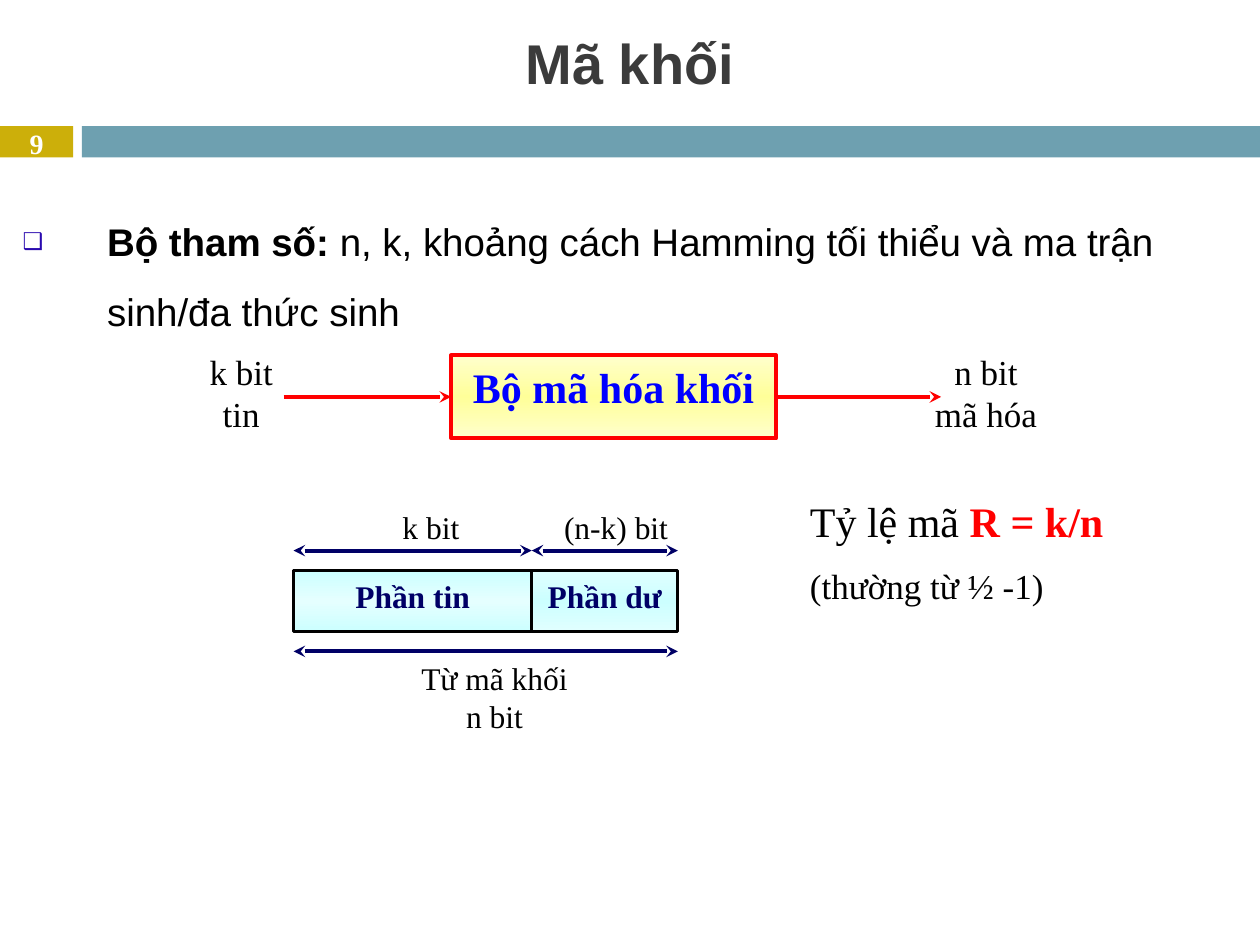
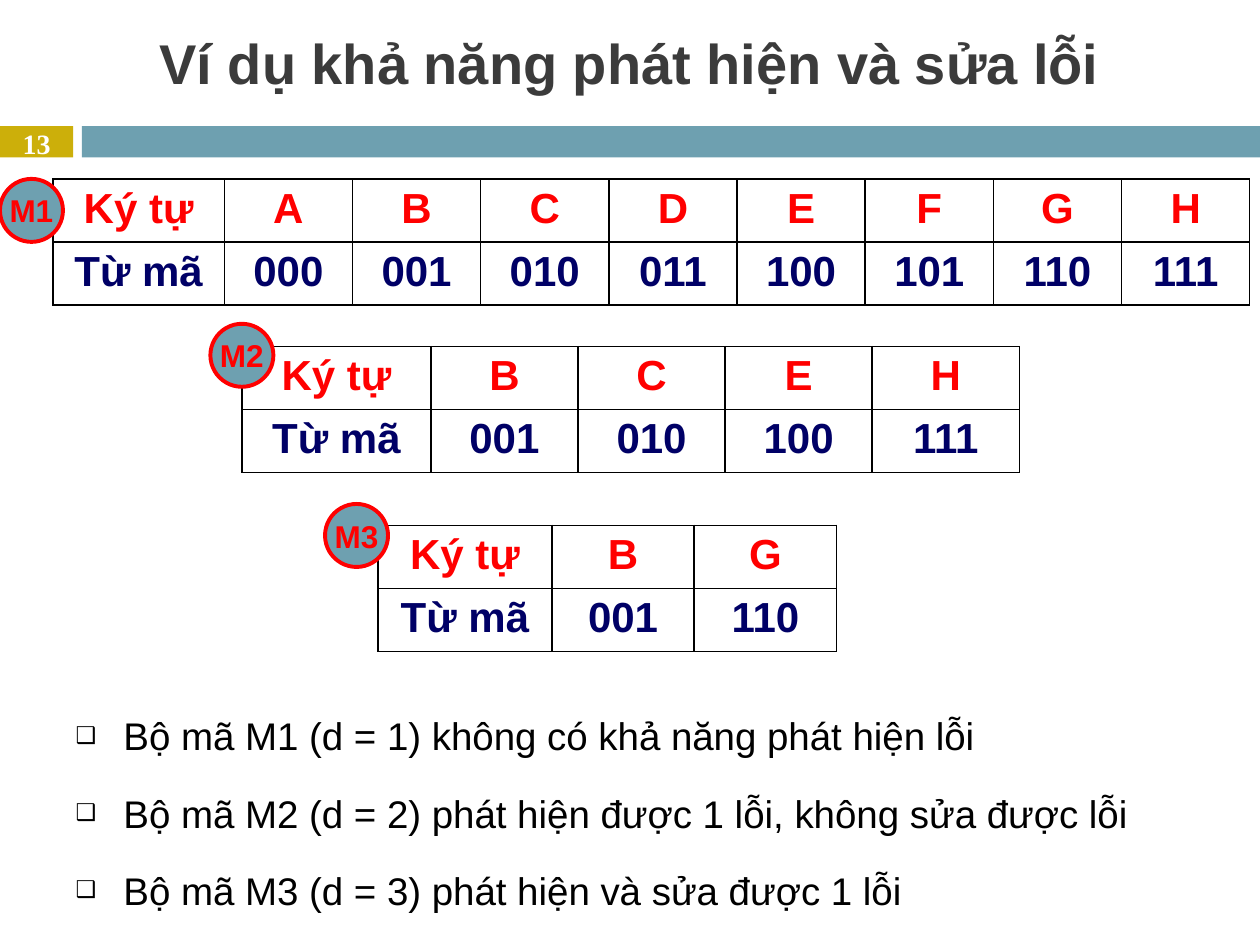
from copy import deepcopy
from dataclasses import dataclass

from lxml.etree import SubElement
from pptx import Presentation
from pptx.dml.color import RGBColor
from pptx.enum.shapes import MSO_CONNECTOR, MSO_SHAPE
from pptx.enum.text import MSO_ANCHOR, MSO_AUTO_SIZE, PP_ALIGN
from pptx.oxml.ns import qn
from pptx.util import Inches, Pt


@dataclass(frozen=True)
class Theme:
    sans: str = "Arial"
    serif: str = "Times New Roman"
    gold: str = "CCAF0A"
    teal: str = "6EA0B0"
    gray: str = "3B3B3B"
    white: str = "FFFFFF"
    black: str = "000000"
    red: str = "FF0000"
    blue: str = "0000FF"
    navy: str = "000066"
    violet: str = "2909AF"
    yellow: tuple = ("FFFFCD", "FFFF99", "FFFFCD")
    aqua: tuple = ("CCFFFF", "E5FFFF", "CCFFFF")
    cyan: tuple = ("E0FFFF", "CCFFFF", "E0FFFF")
    title: int = 32
    head: int = 24
    body: int = 22
    label: int = 20
    small: int = 18
    page: int = 16
    thick: float = 2.25
    edge: float = 1.5
    grid: float = 1


T = Theme()

# Slide 1: text runs are (text, bold); boxes are left, top, width, height
PARAMS = [[("Bộ tham số:", True),
           (" n, k, khoảng cách Hamming tối thiểu và ma trận sinh/đa thức sinh", False)]]
CODER = ("Bộ mã hóa khối", (3.58, 2.82, 2.58, 0.66))
FLOW = (2.25, 7.47)
LABELS = [
    (["k bit tin"], (1.5, 2.73, 0.83, 0.97), T.label),
    (["n bit", "mã hóa"], (7.32, 2.73, 1.01, 0.81), T.label),
    (["Từ mã khối n bit"], (3.2, 5.18, 1.45, 0.49), T.small),
    (["(n-k) bit"], (4.36, 3.98, 1.06, 0.49), T.small),
    (["k bit"], (3.06, 3.98, 0.72, 0.49), T.small),
]
PARTS = [("Phần tin", 2.33, 4.22, T.aqua), ("Phần dư", 4.22, 5.38, T.cyan)]
RATE = ("Tỷ lệ mã ", "R = k/n", "(thường từ ½ -1)")

# Slide 2: each code has a badge place, table place, first column, row height, words
HEADS = ("Ký tự", "Từ mã")
CODES = [
    ("M1", (0, 1.42), (0.42, 1.42, 9.5), 1.36, 0.47,
     dict(A="000", B="001", C="010", D="011", E="100", F="101", G="110", H="111")),
    ("M2", (1.67, 2.57), (1.92, 2.75, 6.17), 1.5, 0.5,
     dict(B="001", C="010", E="100", H="111")),
    ("M3", (2.58, 4), (3, 4.17, 3.64), 1.38, 0.5, dict(B="001", G="110")),
]
POWERS = [[(text, False)] for text in (
    "Bộ mã M1 (d = 1) không có khả năng phát hiện lỗi",
    "Bộ mã M2 (d = 2) phát hiện được 1 lỗi, không sửa được lỗi",
    "Bộ mã M3 (d = 3) phát hiện và sửa được 1 lỗi",
)]


def rgb(code):
    return RGBColor.from_string(code)


def inch(box):
    return [Inches(v) for v in box]


def style(font, size, color, name=T.serif, bold=False):
    font.size, font.name, font.bold = Pt(size), name, bold
    font.color.rgb = rgb(color)


def write(frame, lines, size, color, name=T.serif, bold=False):
    """Fill a frame with centred paragraphs in one style."""
    for i, text in enumerate(lines):
        para = frame.add_paragraph() if i else frame.paragraphs[0]
        para.text = text
        para.alignment = PP_ALIGN.CENTER
        style(para.font, size, color, name, bold)


def add_text(slide, box):
    frame = slide.shapes.add_textbox(*inch(box)).text_frame
    frame.word_wrap = True
    return frame


def add_form(slide, kind, box, fill, line=None, width=T.thick):
    """Draw a shape with a plain fill, or a gradient if fill is three colours."""
    form = slide.shapes.add_shape(kind, *inch(box))
    form.shadow.inherit = False
    if isinstance(fill, str):
        form.fill.solid()
        form.fill.fore_color.rgb = rgb(fill)
    else:
        form.fill.gradient()
        form.fill.gradient_angle = 90
        stops = form.element.xpath(".//a:gsLst")[0]
        stops.insert(1, deepcopy(stops[0]))
        for i, stop in enumerate(form.fill.gradient_stops):
            stop.position = i / 2
            stop.color.rgb = rgb(fill[i])
    if line:
        form.line.color.rgb = rgb(line)
        form.line.width = Pt(width)
    else:
        form.line.fill.background()
    form.text_frame.vertical_anchor = MSO_ANCHOR.TOP
    return form


def add_arrow(slide, left, right, y, color, ends=("tailEnd",)):
    arrow = slide.shapes.add_connector(
        MSO_CONNECTOR.STRAIGHT, *inch((left, y, right, y)))
    arrow.line.color.rgb = rgb(color)
    arrow.line.width = Pt(T.thick)
    props = arrow.element.spPr
    for end in ends:
        SubElement(props.find(qn("a:ln")), qn("a:" + end), type="stealth")
    SubElement(props, qn("a:effectLst"))
    return arrow


def add_list(slide, items, box, indent, gap, color=None):
    """Place the body placeholder and fill it with box-bulleted items."""
    body = slide.placeholders[1]
    body.left, body.top, body.width, body.height = inch(box)
    frame = body.text_frame
    frame.auto_size = MSO_AUTO_SIZE.NONE
    for i, runs in enumerate(items):
        para = frame.add_paragraph() if i else frame.paragraphs[0]
        props = para._p.get_or_add_pPr()
        props.set("marL", str(Inches(indent)))
        props.set("indent", str(-Inches(indent)))
        if color:
            SubElement(SubElement(props, qn("a:buClr")), qn("a:srgbClr"), val=color)
        SubElement(props, qn("a:buSzPct"), val="60000")
        SubElement(props, qn("a:buChar"), char="❑")
        para.line_spacing = 1.5
        para.space_before = Pt(gap if i else 0)
        style(para.font, T.body, T.black, T.sans)
        for text, bold in runs:
            run = para.add_run()
            run.text = text
            run.font.bold = bold


def add_slide(deck, title, page):
    slide = deck.slides.add_slide(deck.slide_layouts[1])
    add_form(slide, MSO_SHAPE.RECTANGLE, (0, 1, 0.58, 0.25), T.gold)
    add_form(slide, MSO_SHAPE.RECTANGLE, (0.65, 1, 9.35, 0.25), T.teal)
    frame = add_text(slide, (0, 1, 0.58, 0.27))
    frame.margin_top = frame.margin_bottom = 0
    frame.vertical_anchor = MSO_ANCHOR.MIDDLE
    write(frame, [str(page)], T.page, T.white, bold=True)
    head = slide.shapes.title
    head.left, head.top, head.width, head.height = inch((0, 0.08, 10, 0.83))
    head.text_frame.auto_size = MSO_AUTO_SIZE.NONE
    head.text_frame.vertical_anchor = MSO_ANCHOR.MIDDLE
    write(head.text_frame, [title], T.title, T.gray, T.sans, True)
    return slide


def add_rate(slide):
    frame = add_text(slide, (6.33, 3.88, 2.83, 1.01))
    first, last = frame.paragraphs[0], frame.add_paragraph()
    lead, value, note = RATE
    style(first.font, T.head, T.black)
    first.add_run().text = lead
    run = first.add_run()
    run.text = value
    run.font.bold = True
    run.font.color.rgb = rgb(T.red)
    last.text = note
    last.space_before = Pt(11)
    style(last.font, T.label, T.black)


def draw_block(slide):
    add_list(slide, PARAMS, (0.08, 1.5, 9.75, 5.58), 0.67, 6, T.violet)
    text, box = CODER
    left, top, width, height = box
    coder = add_form(slide, MSO_SHAPE.RECTANGLE, box, T.yellow, T.red)
    write(coder.text_frame, [text], T.head, T.blue, bold=True)
    mid = top + height / 2
    add_arrow(slide, FLOW[0], left, mid, T.red).end_connect(coder, 1)
    add_arrow(slide, left + width, FLOW[1], mid, T.red).begin_connect(coder, 3)

    for lines, place, size in LABELS:
        write(add_text(slide, place), lines, size, T.black)

    both = ("headEnd", "tailEnd")
    for text, start, end, fill in PARTS:
        part = add_form(slide, MSO_SHAPE.RECTANGLE, (start, 4.53, end - start, 0.48),
                        fill, T.black, T.edge)
        write(part.text_frame, [text], T.small, T.navy, bold=True)
        add_arrow(slide, start, end, 4.37, T.navy, both)
    add_arrow(slide, PARTS[0][1], PARTS[-1][2], 5.17, T.navy, both)
    add_rate(slide)


def frame_cell(cell):
    """Clear the fill of a cell and rule its four sides."""
    cell.fill.background()
    props = cell._tc.get_or_add_tcPr()
    for i, side in enumerate(("lnL", "lnR", "lnT", "lnB")):
        rule = SubElement(props, qn("a:" + side), w=str(Pt(T.grid)))
        SubElement(SubElement(rule, qn("a:solidFill")), qn("a:srgbClr"), val=T.black)
        props.insert(i, rule)


def add_code(slide, place, first, row, words):
    left, top, width = place
    rows = list(zip(HEADS, *words.items()))
    table = slide.shapes.add_table(
        2, len(rows[0]), *inch((left, top, width, 2 * row))).table
    table.first_row = table.horz_banding = False
    for i, col in enumerate(table.columns):
        col.width = Inches((width - first) / len(words) if i else first)
    for r, (texts, color) in enumerate(zip(rows, (T.red, T.navy))):
        table.rows[r].height = Inches(row)
        for c, text in enumerate(texts):
            cell = table.cell(r, c)
            write(cell.text_frame, [text], T.head, color, T.sans, True)
            frame_cell(cell)


def draw_codes(slide):
    add_list(slide, POWERS, (0.5, 5.42, 9.5, 1.86), 0.38, 4.6)
    for name, spot, place, first, row, words in CODES:
        add_code(slide, place, first, row, words)
        badge = add_form(slide, MSO_SHAPE.OVAL, (*spot, 0.5, 0.5), T.teal, T.red)
        badge.text_frame.word_wrap = False
        badge.text_frame.vertical_anchor = MSO_ANCHOR.MIDDLE
        write(badge.text_frame, [name], T.small, T.red, T.sans, True)


def main():
    deck = Presentation()
    deck.slide_width, deck.slide_height = Inches(10), Inches(7.5)
    draw_block(add_slide(deck, "Mã khối", 9))
    draw_codes(add_slide(deck, "Ví dụ khả năng phát hiện và sửa lỗi", 13))
    deck.save("out.pptx")


if __name__ == "__main__":
    main()
